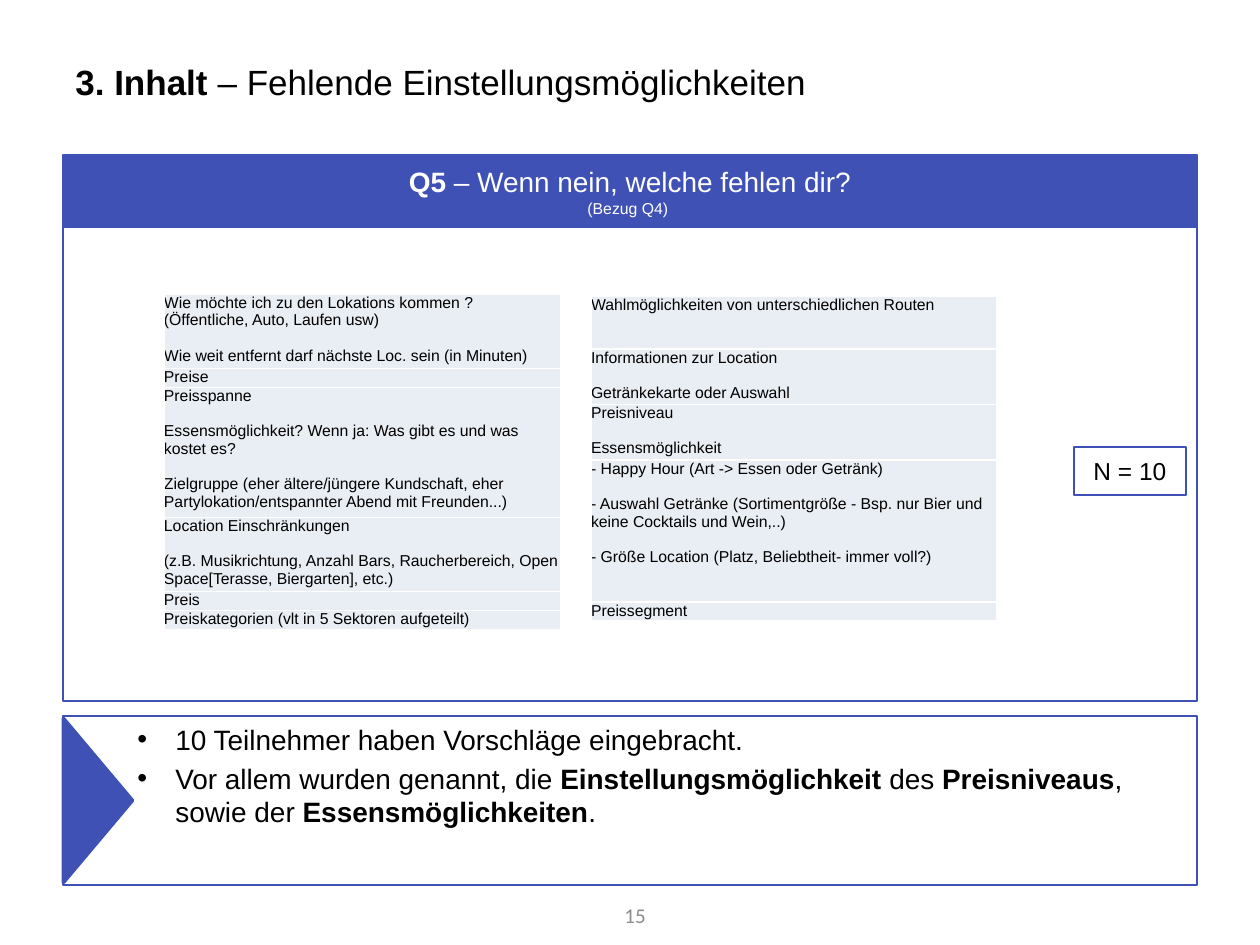
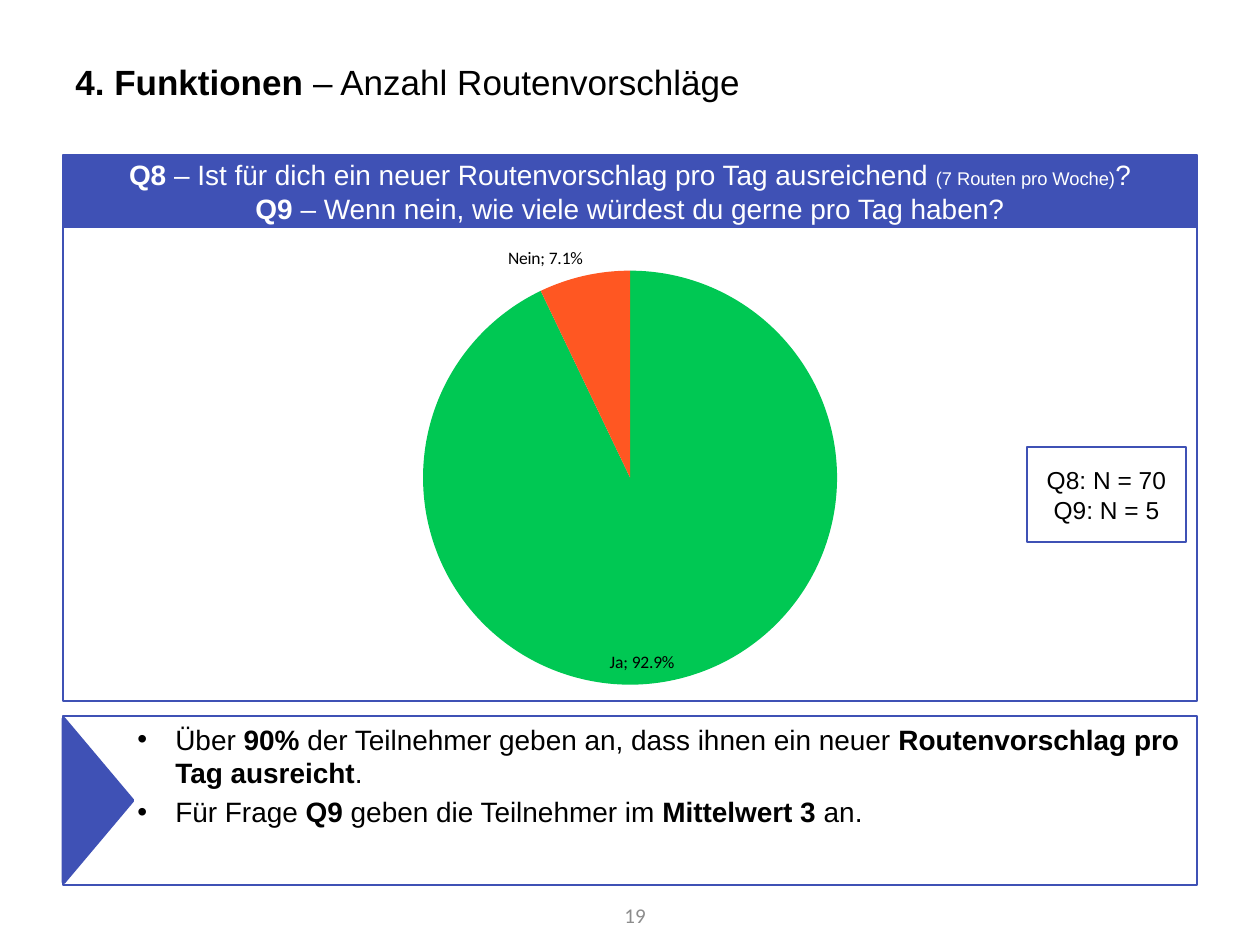
from copy import deepcopy

from lxml.etree import SubElement
from pptx import Presentation
from pptx.chart.data import CategoryChartData
from pptx.dml.color import RGBColor
from pptx.enum.chart import XL_CHART_TYPE as ChartType, XL_LABEL_POSITION as LabelPos
from pptx.enum.shapes import MSO_SHAPE as Preset
from pptx.enum.text import MSO_ANCHOR as Anchor, PP_ALIGN as Align
from pptx.oxml import parse_xml
from pptx.oxml.ns import nsdecls, qn
from pptx.util import Emu, Pt

BLUE = RGBColor(0x3F, 0x51, 0xB5)
WHITE = RGBColor(0xFF, 0xFF, 0xFF)
BLACK = RGBColor(0x00, 0x00, 0x00)
GREY = RGBColor(0x8C, 0x8C, 0x8C)
CELL = RGBColor(0xE9, 0xED, 0xF4)
GREEN = RGBColor(0x00, 0xC8, 0x53)
ORANGE = RGBColor(0xFF, 0x57, 0x22)

PX_PER_INCH = 126
SLIDE_SIZE = 1260, 945
TITLE_AT = 63, 38, 1134, 87
PANEL_AT = 63, 155, 1134, 546
BAND_AT = 64, 156, 1132, 70
FINDINGS_AT = 63, 716, 1134, 169
POINTER_AT = 16, 766, 164, 69
PAGE_AT = 578, 890, 80, 50
PIE_AT = 194, 226, 881, 475
PIE_LAYOUT = {"x": 0.26, "y": 0.09, "w": 0.47, "h": 0.88}

BOLD = {"bold": True}

SLIDES = [
    {
        "title": [("3. Inhalt ", BOLD), "– Fehlende Einstellungsmöglichkeiten"],
        "question": [
            [("Q5 ", BOLD), "– Wenn nein, welche fehlen dir?"],
            [("(Bezug Q4) ", {"size": 9})],
        ],
        "sample": ["N = 10"],
        "sample_at": (1074, 447, 112, 48),
        "findings": [
            ["10 Teilnehmer haben Vorschläge eingebracht."],
            ["Vor allem wurden genannt, die ", ("Einstellungsmöglichkeit ", BOLD), "des ",
             ("Preisniveaus", BOLD), ", sowie der ", ("Essensmöglichkeiten", BOLD), "."],
        ],
        "page": "15",
        "answers": [
            ((164, 294, 397), [
                (71, ["Wie möchte ich zu den Lokations kommen ? (Öffentliche, Auto, Laufen usw)",
                      "Wie weit entfernt darf nächste Loc. sein (in Minuten)"]),
                (18, ["Preise"]),
                (124, ["Preisspanne",
                       "Essensmöglichkeit? Wenn ja: Was gibt es und was kostet es?",
                       "Zielgruppe (eher ältere/jüngere Kundschaft, eher "
                       "Partylokation/entspannter Abend mit Freunden...)"]),
                (71, ["Location Einschränkungen",
                      "(z.B. Musikrichtung, Anzahl Bars, Raucherbereich, "
                      "Open Space[Terasse, Biergarten], etc.)"]),
                (18, ["Preis"]),
                (18, ["Preiskategorien (vlt in 5 Sektoren aufgeteilt)"]),
            ]),
            ((591, 296, 406), [
                (53, ["Wahlmöglichkeiten von unterschiedlichen Routen"]),
                (54, ["Informationen zur Location", "Getränkekarte oder Auswahl"]),
                (53, ["Preisniveau", "Essensmöglichkeit"]),
                (142, ["- Happy Hour (Art -> Essen oder Getränk)",
                       "- Auswahl Getränke (Sortimentgröße - Bsp. nur Bier und "
                       "keine Cocktails und Wein,..)",
                       "- Größe Location (Platz, Beliebtheit- immer voll?)"]),
                (18, ["Preissegment"]),
            ]),
        ],
    },
    {
        "title": [("4. Funktionen ", BOLD), "– Anzahl Routenvorschläge"],
        "question": [
            [("Q8 ", BOLD), "– Ist für dich ein neuer Routenvorschlag pro Tag ausreichend ",
             ("(7 Routen pro Woche)", {"size": 10.5}), "?"],
            [("Q9 ", BOLD), "– Wenn nein, wie viele würdest du gerne pro Tag haben?"],
        ],
        "sample": ["Q8: N = 70", "Q9: N = 5"],
        "sample_at": (1027, 447, 159, 95),
        "findings": [
            ["Über ", ("90%", BOLD), " der Teilnehmer geben an, dass ihnen ein neuer ",
             ("Routenvorschlag pro Tag ausreicht", BOLD), "."],
            ["Für Frage ", ("Q9", BOLD), " geben die Teilnehmer im ",
             ("Mittelwert 3 ", BOLD), "an."],
        ],
        "page": "19",
        "shares": [("Ja", 0.929, GREEN), ("Nein", 0.071, ORANGE)],
    },
]


def px(*lengths):
    return [Emu(round(length * 914400 / PX_PER_INCH)) for length in lengths]


def write(frame, paragraphs, size=16, color=BLACK, font="Arial", align=Align.LEFT,
          anchor=None, gap=0, bullet=False):
    frame.word_wrap = True
    if anchor is not None:
        frame.vertical_anchor = anchor
    for index, runs in enumerate(paragraphs):
        paragraph = frame.add_paragraph() if index else frame.paragraphs[0]
        paragraph.alignment = align
        if index and gap:
            paragraph.space_before = Pt(gap)
        if bullet:
            properties = paragraph._p.get_or_add_pPr()
            margin, hang = px(100, -38)
            properties.set("marL", str(margin))
            properties.set("indent", str(hang))
            SubElement(properties, qn("a:buFont")).set("typeface", "Arial")
            SubElement(properties, qn("a:buChar")).set("char", "•")
        for part in [runs] if isinstance(runs, str) else runs:
            words, style = (part, {}) if isinstance(part, str) else part
            run = paragraph.add_run()
            run.text = words
            run.font.name = font
            run.font.size = Pt(style.get("size", size))
            run.font.bold = style.get("bold", False)
            run.font.color.rgb = color


def add_box(slide, at, preset=Preset.RECTANGLE, fill=None, line_width=1):
    box = slide.shapes.add_shape(preset, *px(*at))
    box.shadow.inherit = False
    if fill is None:
        box.fill.background()
    else:
        box.fill.solid()
        box.fill.fore_color.rgb = fill
    box.line.color.rgb = BLUE
    box.line.width = Pt(line_width)
    return box


def add_text(slide, at, paragraphs, **style):
    write(slide.shapes.add_textbox(*px(*at)).text_frame, paragraphs, **style)


def add_answers(slide, place, rows):
    left, top, width = place
    height = sum(row_height for row_height, _ in rows)
    table = slide.shapes.add_table(len(rows), 1, *px(left, top, width, height)).table
    table.first_row = table.horz_banding = False
    for index, (row_height, answer) in enumerate(rows):
        table.rows[index].height = px(row_height)[0]
        cell = table.cell(index, 0)
        cell.margin_left = cell.margin_right = cell.margin_top = cell.margin_bottom = 0
        for side in ("lnL", "lnR", "lnT", "lnB"):
            cell._tc.get_or_add_tcPr().append(parse_xml(
                f'<a:{side} {nsdecls("a")} w="12700"><a:solidFill>'
                f'<a:srgbClr val="{WHITE}"/></a:solidFill></a:{side}>'))
        cell.fill.solid()
        cell.fill.fore_color.rgb = CELL
        write(cell.text_frame, answer, size=9, gap=10)


def add_pie(slide, shares):
    data = CategoryChartData(number_format="0.0%")
    data.categories = [name for name, _, _ in shares]
    data.add_series("Series 1", [value for _, value, _ in shares])
    chart = slide.shapes.add_chart(ChartType.PIE, *px(*PIE_AT), data).chart
    chart.has_legend = chart.has_title = False
    chart.font.name = "Calibri"
    chart.font.size = Pt(10)
    chart.font.color.rgb = BLACK

    plot_area = chart._chartSpace.chart.plotArea
    for old_layout in plot_area.findall(qn("c:layout")):
        plot_area.remove(old_layout)
    modes = '<c:xMode val="edge"/><c:yMode val="edge"/>'
    edges = "".join(f'<c:{key} val="{value}"/>' for key, value in PIE_LAYOUT.items())
    plot_area.insert(0, parse_xml(
        f'<c:layout {nsdecls("c")}><c:manualLayout><c:layoutTarget val="inner"/>'
        f'{modes}{edges}</c:manualLayout></c:layout>'))

    series = chart.plots[0].series[0]
    chart.plots[0].vary_by_categories = True
    for index, (_, _, color) in enumerate(shares):
        slice_fill = series.points[index].format.fill
        slice_fill.solid()
        slice_fill.fore_color.rgb = color

    labels = series.data_labels
    labels.show_category_name = labels.show_value = True
    labels.number_format = "0.0%"
    labels.number_format_is_linked = False
    labels.position = LabelPos.OUTSIDE_END
    group = labels._element
    separator = parse_xml(f'<c:separator {nsdecls("c")}>; </c:separator>')
    group.find(qn("c:showBubbleSize")).addnext(separator)
    inside = parse_xml(f'<c:dLbl {nsdecls("c")}><c:idx val="0"/></c:dLbl>')
    for setting in group:
        if setting.tag != qn("c:showLeaderLines"):
            inside.append(deepcopy(setting))
    inside.find(qn("c:dLblPos")).set("val", "inEnd")
    group.insert(0, inside)


def add_frame(slide, content):
    add_text(slide, TITLE_AT, [content["title"]], size=20, anchor=Anchor.MIDDLE)
    findings = add_box(slide, FINDINGS_AT)
    write(findings.text_frame, content["findings"], anchor=Anchor.TOP, gap=3.2, bullet=True)
    pointer = add_box(slide, POINTER_AT, Preset.ISOSCELES_TRIANGLE, BLUE, 2)
    pointer.rotation = 90
    add_box(slide, PANEL_AT)
    band = add_box(slide, BAND_AT, fill=BLUE, line_width=2)
    write(band.text_frame, content["question"], color=WHITE, align=Align.CENTER,
          anchor=Anchor.MIDDLE)
    sample = add_box(slide, content["sample_at"])
    write(sample.text_frame, content["sample"], size=14, align=Align.CENTER,
          anchor=Anchor.MIDDLE)
    add_text(slide, PAGE_AT, [content["page"]], size=12, color=GREY, font="Calibri",
             align=Align.RIGHT, anchor=Anchor.MIDDLE)


def main():
    deck = Presentation()
    deck.slide_width, deck.slide_height = px(*SLIDE_SIZE)
    for content in SLIDES:
        slide = deck.slides.add_slide(deck.slide_layouts[6])
        add_frame(slide, content)
        for place, rows in content.get("answers", []):
            add_answers(slide, place, rows)
        if "shares" in content:
            add_pie(slide, content["shares"])
    deck.save("out.pptx")


if __name__ == "__main__":
    main()
